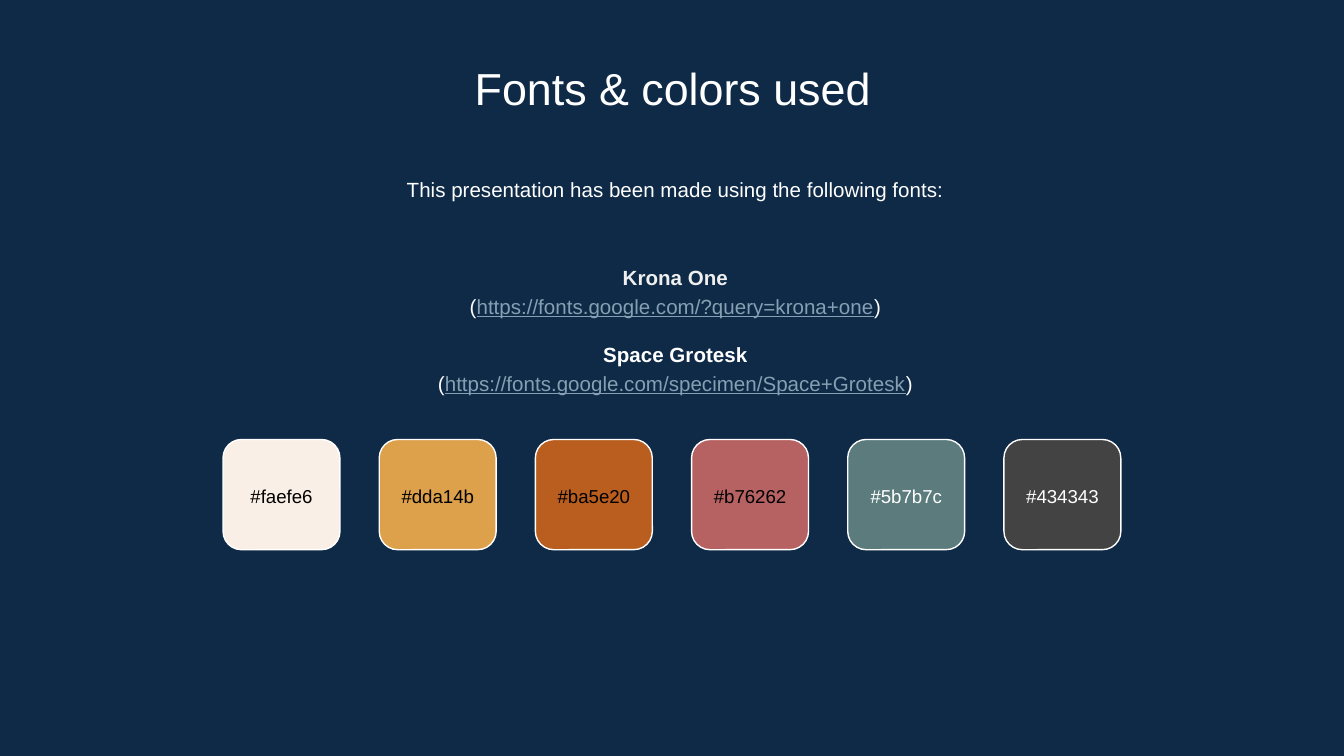
"""Build the slide that lists the fonts and colours of a presentation."""
from typing import NamedTuple

import pptx
import pptx.dml.color
import pptx.enum.shapes
import pptx.enum.text
import pptx.util

Inches = pptx.util.Inches
Pt = pptx.util.Pt

FONT = "Arial"
COLORS = {
    "background": "0E2A47",
    "white": "FFFFFF",
    "black": "000000",
    "soft": "EFEFEF",
    "link": "869FB2",
}


class Run(NamedTuple):
    text: str
    color: str = "white"
    bold: bool = False
    underline: bool = False


class Paragraph(NamedTuple):
    runs: list[Run]
    space_before: float = 0


class Swatch(NamedTuple):
    fill: str
    text_color: str


SWATCHES = [
    Swatch("faefe6", "black"),
    Swatch("dda14b", "black"),
    Swatch("ba5e20", "black"),
    Swatch("b76262", "black"),
    Swatch("5b7b7c", "white"),
    Swatch("434343", "white"),
]
FIRST_LEFT, LAST_LEFT, SWATCH_TOP = 1.66, 7.47, 3.27
SWATCH_PITCH = (LAST_LEFT - FIRST_LEFT) / (len(SWATCHES) - 1)
SWATCH_WIDTH, SWATCH_HEIGHT = 0.87, 0.82


def rgb(value: str) -> pptx.dml.color.RGBColor:
    return pptx.dml.color.RGBColor.from_string(value.upper())


def write(s, paragraphs: list[Paragraph], size: float, middle: bool = False,
          line_spacing: float = 1.15) -> None:
    tf = s.text_frame
    tf.word_wrap = True
    tf.margin_left = tf.margin_right = Inches(0.1)
    tf.margin_top = tf.margin_bottom = Inches(0.1)
    anchor = pptx.enum.text.MSO_ANCHOR
    tf.vertical_anchor = anchor.MIDDLE if middle else anchor.TOP
    for i, paragraph in enumerate(paragraphs):
        p = tf.add_paragraph() if i else tf.paragraphs[0]
        p.alignment = pptx.enum.text.PP_ALIGN.CENTER
        p.line_spacing = line_spacing
        p.space_before = Pt(paragraph.space_before)
        for run in paragraph.runs:
            r = p.add_run()
            r.text = run.text
            r.font.name = FONT
            r.font.size = Pt(size)
            r.font.bold = run.bold
            r.font.underline = run.underline
            r.font.color.rgb = rgb(COLORS[run.color])


def add_text(slide, left: float, top: float, width: float, height: float):
    return slide.shapes.add_textbox(
        Inches(left), Inches(top), Inches(width), Inches(height))


def add_swatch(slide, swatch: Swatch, left: float) -> None:
    s = slide.shapes.add_shape(
        pptx.enum.shapes.MSO_SHAPE.ROUNDED_RECTANGLE,
        Inches(left), Inches(SWATCH_TOP),
        Inches(SWATCH_WIDTH), Inches(SWATCH_HEIGHT))
    s.shadow.inherit = False
    s.fill.solid()
    s.fill.fore_color.rgb = rgb(swatch.fill)
    s.line.color.rgb = rgb(COLORS["white"])
    s.line.width = Pt(0.75)
    write(s, [Paragraph([Run(f"#{swatch.fill}", swatch.text_color)])], 10, middle=True)


def font_entry(name: str, address: str, color: str = "white",
               space_before: float = 0) -> list[Paragraph]:
    return [
        Paragraph([Run(name, color, bold=True)], space_before),
        Paragraph([Run("("), Run(address, "link", underline=True), Run(")")]),
    ]


def main() -> None:
    prs = pptx.Presentation()
    prs.slide_width = Inches(10)
    prs.slide_height = prs.slide_width * 9 // 16
    slide = prs.slides.add_slide(prs.slide_layouts[6])
    slide.background.fill.solid()
    slide.background.fill.fore_color.rgb = rgb(COLORS["background"])

    title = add_text(slide, 1.15, 0.35, 7.71, 0.53)
    write(title, [Paragraph([Run("Fonts & colors used")])], 24, line_spacing=1.0)

    intro = add_text(slide, 1.17, 1.19, 7.71, 0.48)
    write(intro, [Paragraph([Run(
        "This presentation has been made using the following fonts:")])], 11)

    fonts = add_text(slide, 1.17, 1.76, 7.71, 1.37)
    write(fonts, [
        *font_entry("Krona One", "https://fonts.google.com/?query=krona+one", "soft"),
        *font_entry("Space Grotesk", "https://fonts.google.com/specimen/Space+Grotesk",
                    space_before=11),
    ], 11, middle=True)

    for i, swatch in enumerate(SWATCHES):
        add_swatch(slide, swatch, FIRST_LEFT + i * SWATCH_PITCH)

    prs.save("out.pptx")


if __name__ == "__main__":
    main()
